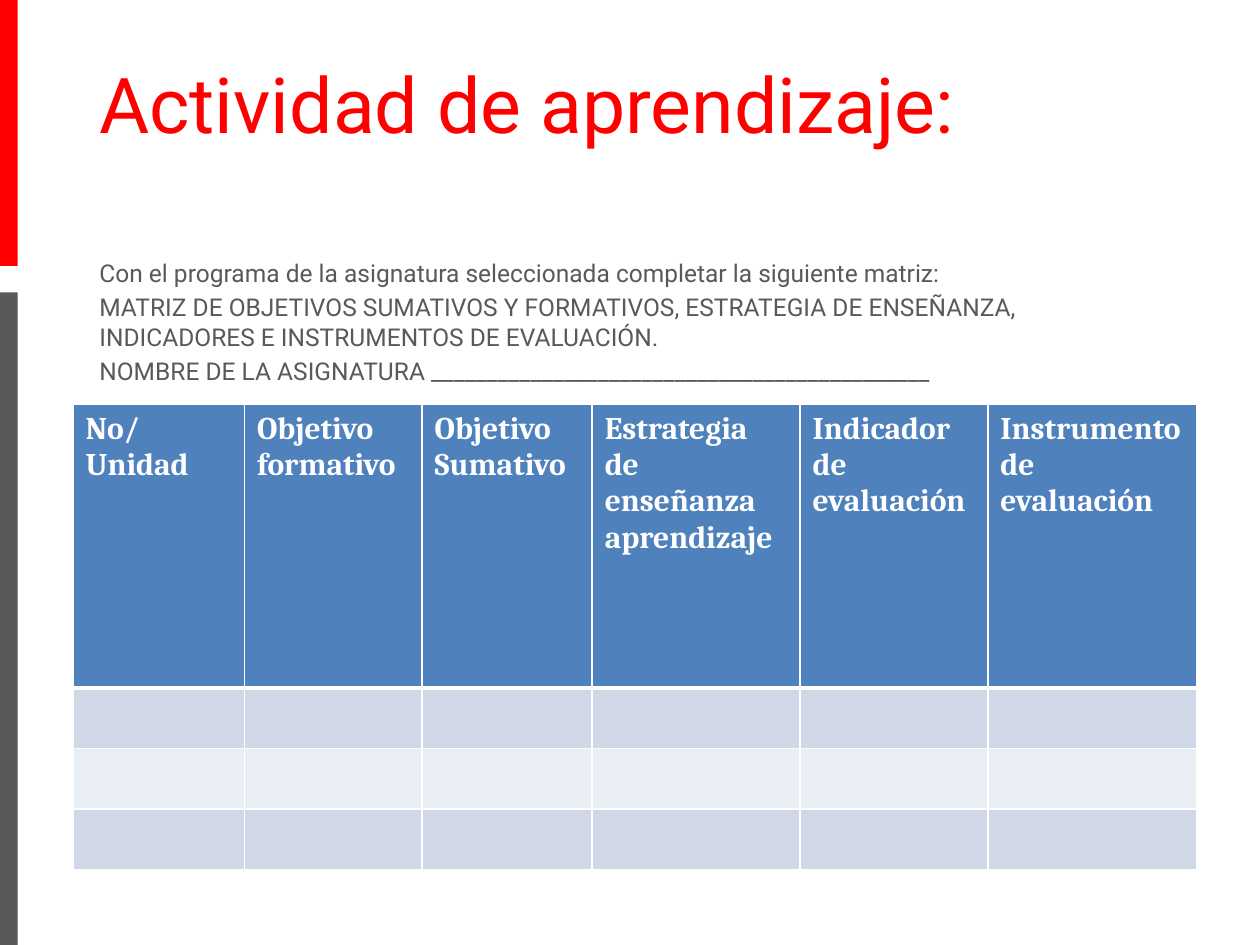
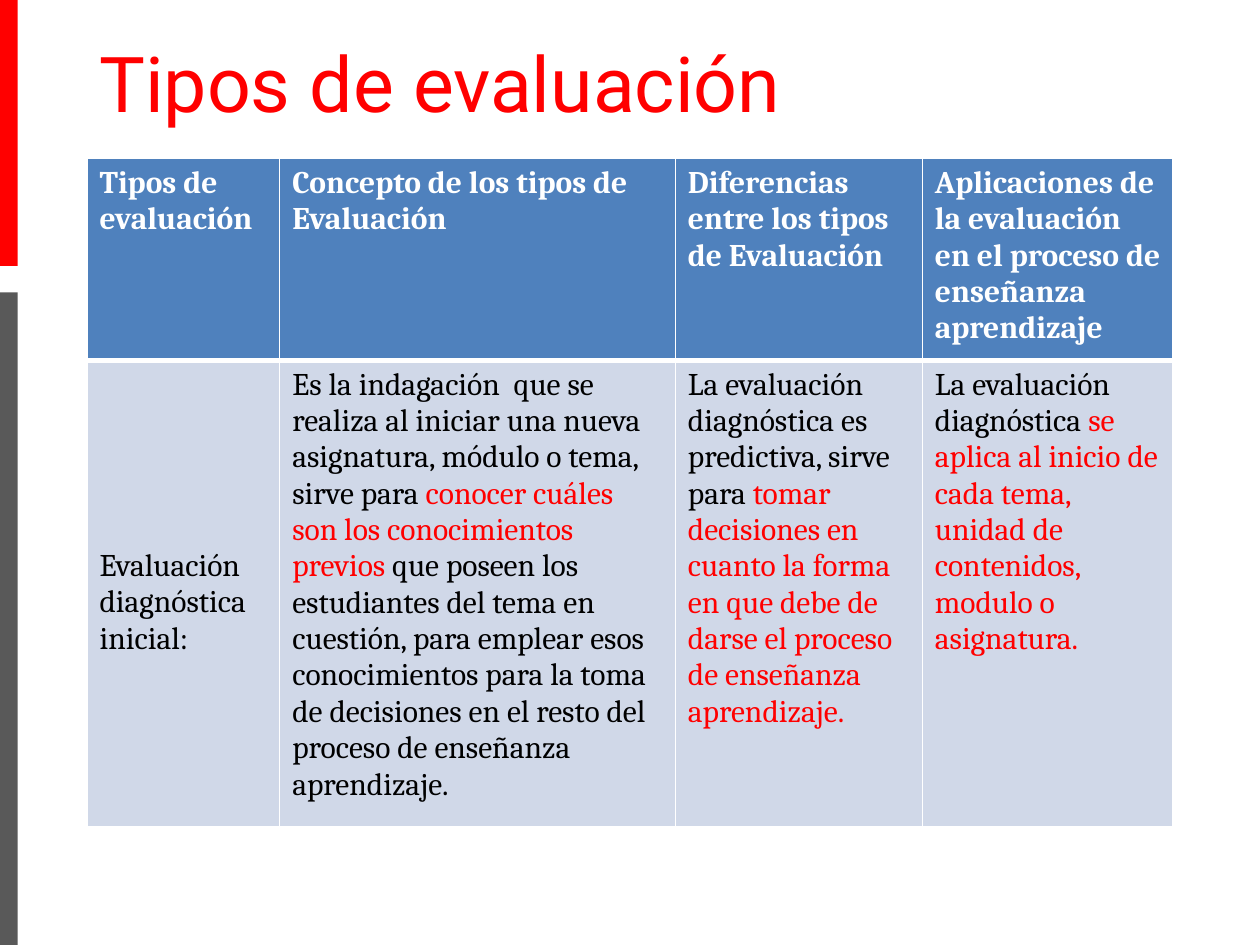
from lxml import etree
from pptx import Presentation
from pptx.dml.color import RGBColor
from pptx.enum.shapes import MSO_SHAPE
from pptx.oxml.ns import qn
from pptx.util import Inches, Pt

RECTANGLE = MSO_SHAPE.RECTANGLE
COLORS = {
    "red": "FF0000",
    "gray": "595959",
    "header": "4F81BD",
    "band_dark": "D0D8E8",
    "band_light": "E9EDF4",
    "white": "FFFFFF",
    "black": "000000",
}
TEXT_FONT = "Roboto"
TABLE_FONT = "Cambria"
TITLE_SIZE, BODY_SIZE, TABLE_SIZE = 44, 14, 18


def rgb(name):
    return RGBColor.from_string(COLORS[name])


def add_run(p, text, font, size, color, bold=False):
    r = p.add_run()
    r.text = text
    r.font.name = font
    r.font.size = Pt(size)
    r.font.bold = bold
    r.font.color.rgb = rgb(color)


def add_band(s, top, height, color):
    band = s.shapes.add_shape(RECTANGLE, 0, Inches(top), Inches(0.14), Inches(height))
    band.shadow.inherit = False
    band.fill.solid()
    band.fill.fore_color.rgb = rgb(color)
    band.line.fill.background()


def add_text(s, box, paragraphs, size, color):
    tf = s.shapes.add_textbox(*map(Inches, box)).text_frame
    tf.word_wrap = True
    for i, text in enumerate(paragraphs):
        p = tf.paragraphs[0] if i == 0 else tf.add_paragraph()
        if i:
            p.space_before = Pt(size * 0.2)
        add_run(p, text, TEXT_FONT, size, color)


def add_slide(prs, title, title_box):
    """Add a blank slide with the side bands and the red title."""
    s = prs.slides.add_slide(prs.slide_layouts[6])
    add_band(s, 0, 2.11, "red")
    add_band(s, 2.32, 5.18, "gray")
    add_text(s, title_box, [title], TITLE_SIZE, "red")
    return s


def set_borders(cell, top, bottom):
    """Draw white borders; top and bottom widths are in points."""
    tc_pr = cell._tc.get_or_add_tcPr()
    widths = {"a:lnL": 1, "a:lnR": 1, "a:lnT": top, "a:lnB": bottom}
    for i, (tag, width) in enumerate(widths.items()):
        ln = etree.Element(qn(tag), w=str(Pt(width)))
        fill = etree.SubElement(ln, qn("a:solidFill"))
        etree.SubElement(fill, qn("a:srgbClr"), val=COLORS["white"])
        tc_pr.insert(i, ln)


def fill_cell(cell, paragraphs, bold):
    """Write paragraphs, each a list of (text, color) runs."""
    tf = cell.text_frame
    for i, runs in enumerate(paragraphs):
        p = tf.paragraphs[0] if i == 0 else tf.add_paragraph()
        for text, color in runs:
            add_run(p, text, TABLE_FONT, TABLE_SIZE, color, bold)


def add_table(s, left, top, widths, heights, headers, body):
    """Add a table with a blue header and banded rows; body rows hold runs."""
    frame = s.shapes.add_table(len(heights), len(widths), Inches(left), Inches(top),
                               Inches(sum(widths)), Inches(sum(heights)))
    table = frame.table
    table.horz_banding = False
    for column, width in zip(table.columns, widths):
        column.width = Inches(width)
    for row, height in zip(table.rows, heights):
        row.height = Inches(height)

    header_row = [[[(line, "white")] for line in text.split("\n")] for text in headers]
    body_rows = [[[runs] for runs in row] for row in body]
    for i, row in enumerate([header_row] + body_rows):
        fill = "header" if i == 0 else ("band_dark" if i % 2 else "band_light")
        for j, paragraphs in enumerate(row):
            cell = table.cell(i, j)
            cell.fill.solid()
            cell.fill.fore_color.rgb = rgb(fill)
            set_borders(cell, 3 if i == 1 else 1, 3 if i == 0 else 1)
            fill_cell(cell, paragraphs, i == 0)
    return table


def build_activity(prs):
    s = add_slide(prs, "Actividad de aprendizaje:", (0.69, 0.4, 8.62, 1.45))
    add_text(s, (0.69, 2, 8.62, 1.2), [
        "Con el programa de la asignatura seleccionada completar la siguiente matriz:",
        "MATRIZ DE OBJETIVOS SUMATIVOS Y FORMATIVOS, ESTRATEGIA DE ENSEÑANZA, "
        "INDICADORES E INSTRUMENTOS DE EVALUACIÓN.",
        "NOMBRE DE LA ASIGNATURA " + "_" * 45,
    ], BODY_SIZE, "gray")
    headers = ["No/\nUnidad", "Objetivo formativo", "Objetivo Sumativo",
               "Estrategia de enseñanza aprendizaje", "Indicador de evaluación",
               "Instrumento de evaluación"]
    empty_rows = [[[] for _ in headers] for _ in range(3)]
    add_table(s, 0.58, 3.21, [1.36, 1.41, 1.35, 1.65, 1.49, 1.66],
              [2.25] + [0.48] * 3, headers, empty_rows)


def build_types(prs):
    s = add_slide(prs, "Tipos de evaluación", (0.69, 0.23, 8.16, 0.87))
    headers = ["Tipos de evaluación", "Concepto de los tipos de Evaluación",
               "Diferencias entre los tipos de Evaluación",
               "Aplicaciones de la evaluación en el proceso de enseñanza aprendizaje"]
    diagnostic = [
        [("Evaluación diagnóstica inicial:", "black")],
        [("Es la indagación  que se realiza al iniciar una nueva asignatura, módulo o "
          "tema, sirve para ", "black"),
         ("conocer cuáles son los conocimientos previos ", "red"),
         ("que poseen los estudiantes del tema en cuestión, para emplear esos "
          "conocimientos para la toma de decisiones en el resto del proceso de "
          "enseñanza aprendizaje.", "black")],
        [("La evaluación diagnóstica es predictiva, sirve para ", "black"),
         ("tomar decisiones en cuanto la forma en que debe de darse el proceso de "
          "enseñanza aprendizaje.", "red")],
        [("La evaluación diagnóstica ", "black"),
         ("se aplica al inicio de cada tema, unidad de contenidos, modulo o "
          "asignatura.", "red")],
    ]
    table = add_table(s, 0.69, 1.26, [1.53, 3.14, 1.96, 1.99], [1.54, 3.56],
                      headers, [diagnostic])
    table.cell(1, 0).margin_top = Inches(1.49)


def main():
    prs = Presentation()
    prs.slide_width = Inches(10)
    prs.slide_height = Inches(7.5)
    build_activity(prs)
    build_types(prs)
    prs.save("out.pptx")


if __name__ == "__main__":
    main()
